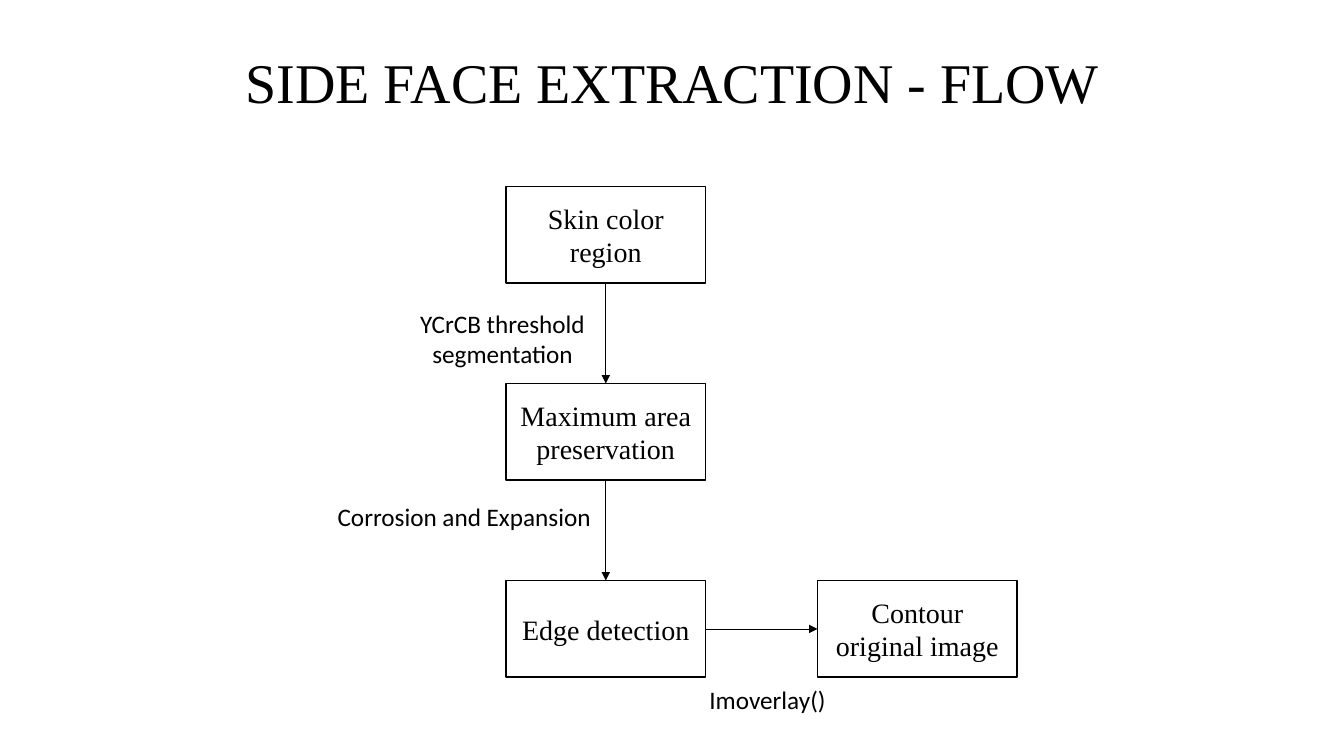
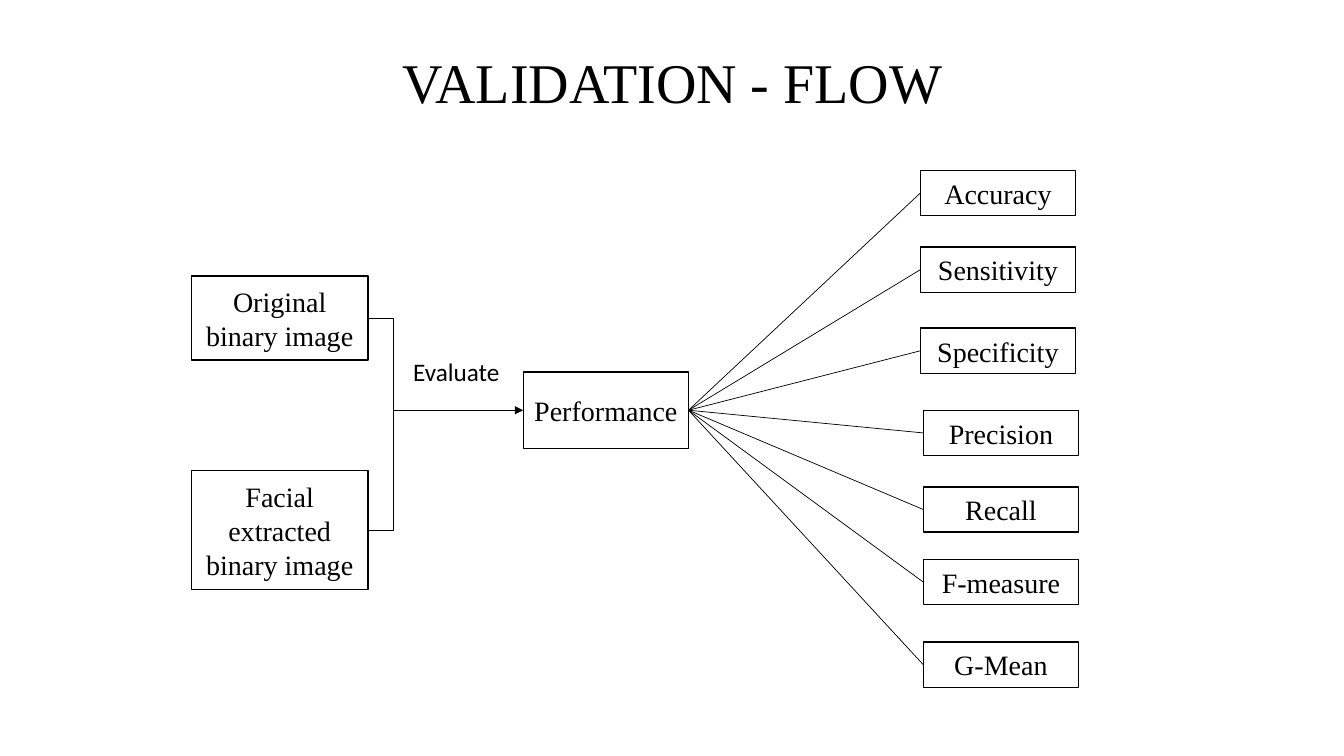
"""Build two flow chart slides: side face extraction and its validation."""
import lxml.etree
import pptx
import pptx.dml.color
import pptx.enum.shapes
import pptx.enum.text
import pptx.oxml.ns
import pptx.util

BLACK = pptx.dml.color.RGBColor(0x00, 0x00, 0x00)
WHITE = pptx.dml.color.RGBColor(0xFF, 0xFF, 0xFF)
SERIF, SANS = "Times New Roman", "Calibri"
TITLE_SIZE, BOX_SIZE, LABEL_SIZE = (pptx.util.Pt(size) for size in (40, 20, 18))
BORDER, HAIRLINE = pptx.util.Pt(1), pptx.util.Pt(0.5)
CENTER = pptx.enum.text.PP_ALIGN.CENTER
LEFT = pptx.enum.text.PP_ALIGN.LEFT
MIDDLE = pptx.enum.text.MSO_ANCHOR.MIDDLE
RECTANGLE = pptx.enum.shapes.MSO_SHAPE.RECTANGLE
STRAIGHT = pptx.enum.shapes.MSO_CONNECTOR.STRAIGHT
TOP_SIDE, LEFT_SIDE, BOTTOM_SIDE, RIGHT_SIDE = range(4)

deck = pptx.Presentation()
deck.slide_width = pptx.util.Inches(13.33)
deck.slide_height = pptx.util.Inches(7.5)
COLUMN = deck.slide_width / 100
ROW = deck.slide_height / 100


def add_text(slide, text, left, top, width, height, boxed=True, align=CENTER):
    """Add a bordered box or a plain label, placed in percent of the slide."""
    place = [int(left * COLUMN), int(top * ROW), int(width * COLUMN), int(height * ROW)]
    if boxed:
        box = slide.shapes.add_shape(RECTANGLE, *place)
        box.shadow.inherit = False
        box.fill.solid()
        box.fill.fore_color.rgb = WHITE
        box.line.color.rgb = BLACK
        box.line.width = BORDER
        box.text_frame.vertical_anchor = MIDDLE
    else:
        box = slide.shapes.add_textbox(*place)
    box.text_frame.word_wrap = True
    para = box.text_frame.paragraphs[0]
    para.alignment = align
    span = para.add_run()
    span.text = text
    span.font.name = SERIF if boxed else SANS
    span.font.size = BOX_SIZE if boxed else LABEL_SIZE
    span.font.color.rgb = BLACK
    return box


def add_line(slide, start, start_side, end, end_side, arrow=False):
    """Join a box, or a point given as a pair, to a box."""
    from_point = isinstance(start, tuple)
    x, y = start if from_point else (start.left, start.top)
    line = slide.shapes.add_connector(STRAIGHT, x, y, end.left, end.top)
    if not from_point:
        line.begin_connect(start, start_side)
    line.end_connect(end, end_side)
    line.line.color.rgb = BLACK
    line.line.width = HAIRLINE
    if arrow:
        outline = line.line._get_or_add_ln()
        lxml.etree.SubElement(outline, pptx.oxml.ns.qn("a:tailEnd"), type="triangle")
    lxml.etree.SubElement(line._element.spPr, pptx.oxml.ns.qn("a:effectLst"))


pages = []
for heading in ("SIDE FACE EXTRACTION - FLOW", "VALIDATION - FLOW"):
    page = deck.slides.add_slide(deck.slide_layouts[5])
    title = page.shapes.title
    title.left, title.top = int(6.9 * COLUMN), int(5.33 * ROW)
    title.width, title.height = int(86.25 * COLUMN), int(12 * ROW)
    title.text_frame.auto_size = pptx.enum.text.MSO_AUTO_SIZE.NONE
    title.text_frame.vertical_anchor = MIDDLE
    para = title.text_frame.paragraphs[0]
    para.alignment = CENTER
    para.line_spacing = 0.9
    span = para.add_run()
    span.text = heading
    span.font.name = SERIF
    span.font.size = TITLE_SIZE
    span.font.color.rgb = BLACK
    pages.append(page)
extraction, validation = pages

STEP_LEFT, STEP_TOP, STEP_WIDTH, STEP_HEIGHT = 37.65, 24.65, 14.85, 12.8
STEP_ACROSS, STEP_DOWN = 23.18, 26.07
steps = []
for text, column, row in (
    ("Skin color region", 0, 0),
    ("Maximum area preservation", 0, 1),
    ("Edge detection", 0, 2),
    ("Contour original image", 1, 2),
):
    steps.append(add_text(
        extraction, text, STEP_LEFT + column * STEP_ACROSS,
        STEP_TOP + row * STEP_DOWN, STEP_WIDTH, STEP_HEIGHT))
skin, area, edge, contour = steps
add_line(extraction, skin, BOTTOM_SIDE, area, TOP_SIDE, arrow=True)
add_line(extraction, area, BOTTOM_SIDE, edge, TOP_SIDE, arrow=True)
add_line(extraction, edge, RIGHT_SIDE, contour, LEFT_SIDE, arrow=True)

for page, text, left, top, width, height, align in (
    (extraction, "YCrCB threshold segmentation", 29.55, 40.13, 15.68, 9.47, CENTER),
    (extraction, "Corrosion and Expansion", 24.38, 65.6, 21, 5.33, LEFT),
    (extraction, "Imoverlay()", 52.05, 89.87, 11.1, 5.33, LEFT),
    (validation, "Evaluate", 30, 46.53, 8.33, 5.33, LEFT),
):
    add_text(page, text, left, top, width, height, boxed=False, align=align)

INPUT_LEFT, INPUT_WIDTH = 14.25, 13.13
source_image = add_text(
    validation, "Original binary image", INPUT_LEFT, 36.53, INPUT_WIDTH, 11.07)
face_image = add_text(
    validation, "Facial extracted binary image", INPUT_LEFT, 62.27, INPUT_WIDTH, 15.73)
performance = add_text(validation, "Performance", 38.93, 49.2, 12.3, 10.13)

bracket_x = int(29.25 * COLUMN)
input_right = source_image.left + source_image.width
upper_y, lower_y, arrow_y = (
    box.top + box.height // 2 for box in (source_image, face_image, performance))
builder = validation.shapes.build_freeform(input_right, upper_y)
builder.add_line_segments(
    [(bracket_x, upper_y), (bracket_x, lower_y), (input_right, lower_y)], close=False)
bracket = builder.convert_to_shape()
bracket.shadow.inherit = False
bracket.fill.background()
bracket.line.color.rgb = BLACK
bracket.line.width = HAIRLINE
add_line(validation, (bracket_x, arrow_y), None, performance, LEFT_SIDE, arrow=True)

UPPER_LEFT, LOWER_LEFT = 68.48, 68.7
for text, left, top in (
    ("Accuracy", UPPER_LEFT, 22.53),
    ("Sensitivity", UPPER_LEFT, 32.67),
    ("Specificity", UPPER_LEFT, 43.4),
    ("Precision", LOWER_LEFT, 54.27),
    ("Recall", LOWER_LEFT, 64.4),
    ("F-measure", LOWER_LEFT, 74),
    ("G-Mean", LOWER_LEFT, 84.93),
):
    metric = add_text(validation, text, left, top, 11.55, 6)
    add_line(validation, performance, RIGHT_SIDE, metric, LEFT_SIDE)

deck.save("out.pptx")
